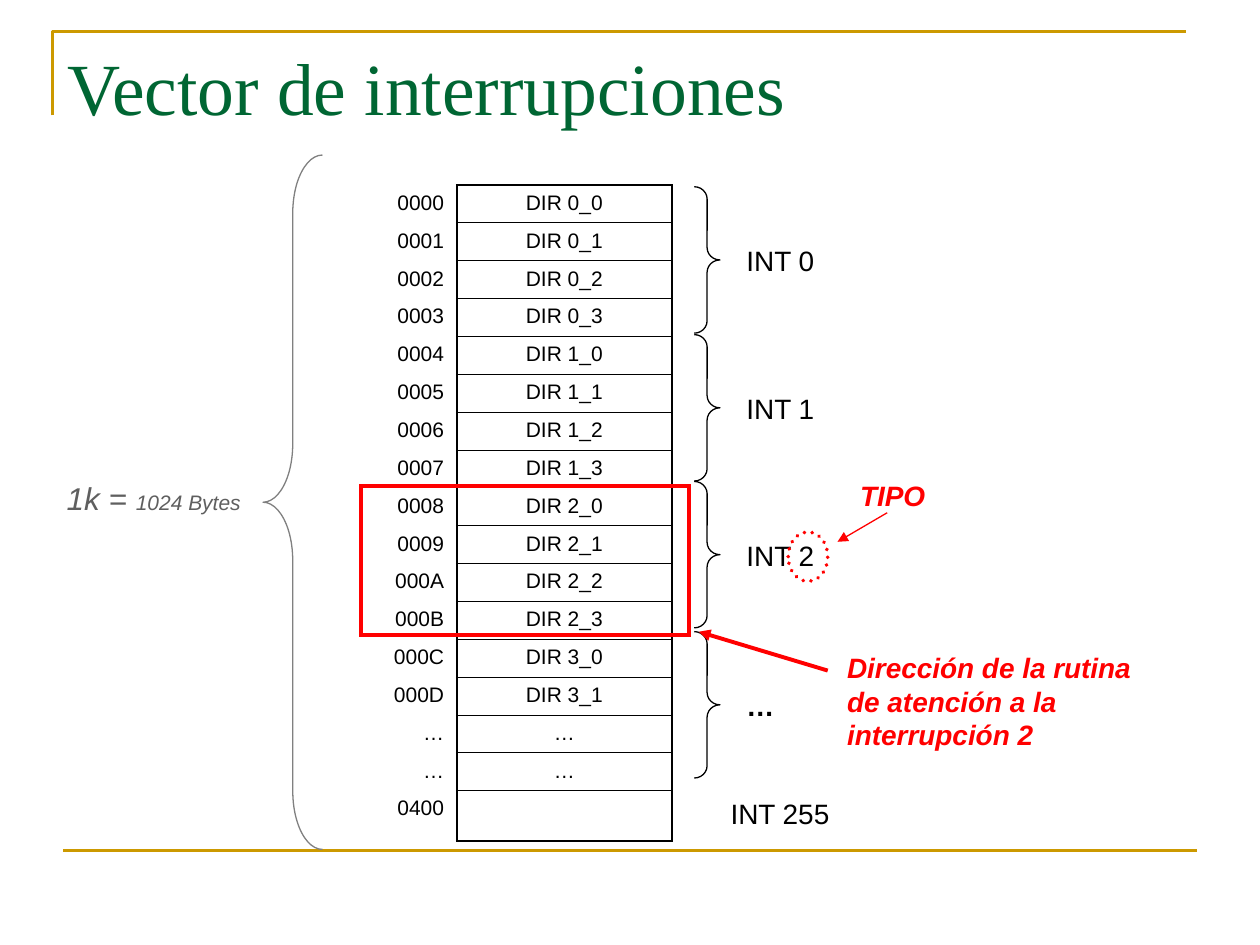
from dataclasses import dataclass

from lxml import etree
from pptx import Presentation
from pptx import util as u
from pptx.dml import color
from pptx.enum import dml, shapes, text
from pptx.oxml import ns

Pt = u.Pt
PLAIN = "{2D5ABB26-0587-4C30-8999-92F81FD0307C}"  # table style without grid


@dataclass(frozen=True)
class Theme:
    sans: str = "Arial"
    serif: str = "Times New Roman"
    ink: str = "000000"
    green: str = "006633"
    gold: str = "CC9900"
    red: str = "FF0000"
    gray: str = "808080"
    dim: str = "5F5F5F"
    head: float = 42
    big: float = 18
    body: float = 16
    small: float = 12
    hair: float = 0.45
    thin: float = 0.75
    edge: float = 1.08
    rule: float = 1.5
    bold: float = 2.25


T = Theme()


def rgb(code):
    return color.RGBColor.from_string(code)


def write(frame, words, font=T.sans, size=T.body, ink=T.ink, bold=False,
          slant=False, align=None, before=None):
    """Append a run to the last paragraph of a text frame."""
    para = frame.paragraphs[-1]
    if align is not None:
        para.alignment = align
    if before is not None:
        para.space_before = Pt(before)
    run = para.add_run()
    run.text = words
    run.font.name, run.font.size = font, Pt(size)
    run.font.bold, run.font.italic = bold, slant
    run.font.color.rgb = rgb(ink)


def label(slide, box, words, wrap=False, grow=True, mid=False, **form):
    frame = slide.shapes.add_textbox(*map(Pt, box)).text_frame
    frame.word_wrap = wrap
    if grow:
        frame.auto_size = text.MSO_AUTO_SIZE.SHAPE_TO_FIT_TEXT
    if mid:
        frame.vertical_anchor = text.MSO_ANCHOR.MIDDLE
    write(frame, words, **form)
    return frame


def stroke(item, ink, width):
    item.line.color.rgb = rgb(ink)
    item.line.width = Pt(width)


def shape(slide, kind, box, ink, width):
    """Add an unfilled outline shape."""
    item = slide.shapes.add_shape(kind, *map(Pt, box))
    item.shadow.inherit = False
    item.fill.background()
    stroke(item, ink, width)
    return item


def brace(slide, kind, box, ink, bend):
    item = shape(slide, kind, box, ink, T.thin)
    item.adjustments[0] = bend


def line(slide, start, end, ink, width, arrow=False):
    """Draw a straight line; the arrowhead sits at its end."""
    item = slide.shapes.add_connector(
        shapes.MSO_CONNECTOR.STRAIGHT, *map(Pt, (*start, *end)))
    stroke(item, ink, width)
    if arrow:
        etree.SubElement(item.line._get_or_add_ln(), ns.qn("a:tailEnd"),
                         type="triangle")
    etree.SubElement(item._element.spPr, ns.qn("a:effectLst"))


def border(cell, **sides):
    """Set cell borders by side (L, R, T, B) to a width in points."""
    props = cell._tc.get_or_add_tcPr()
    drawn = [side for side in "LRTB" if side in sides]
    for spot, side in enumerate(drawn):
        ln = etree.Element(ns.qn(f"a:ln{side}"), w=str(Pt(sides[side])))
        fill = etree.SubElement(ln, ns.qn("a:solidFill"))
        etree.SubElement(fill, ns.qn("a:srgbClr"), val=T.ink)
        props.insert(spot, ln)


def corner(slide):
    """Draw the gold angle above the title."""
    path = slide.shapes.build_freeform(Pt(30), Pt(66), scale=1.0)
    path.add_line_segments([(Pt(30), Pt(18)), (Pt(678), Pt(18))], close=False)
    item = path.convert_to_shape()
    item.shadow.inherit = False
    item.fill.background()
    stroke(item, T.gold, T.rule)


def memory(slide):
    """Build the table of addresses and their contents."""
    rows = [(f"{n:04X}", f"DIR {n // 4}_{n % 4}") for n in range(14)]
    rows += [("…", "…")] * 2 + [("0400", "")]
    last = len(rows) - 1
    grid = slide.shapes.add_table(len(rows), 2, Pt(216), Pt(105.7),
                                  Pt(168), Pt(367.2)).table
    grid._tbl.tblPr.find(ns.qn("a:tableStyleId")).text = PLAIN
    grid.first_row = grid.horz_banding = False
    grid.columns[0].width, grid.columns[1].width = Pt(45), Pt(123)
    aligns = text.PP_ALIGN.RIGHT, text.PP_ALIGN.CENTER
    for r, row in enumerate(rows):
        grid.rows[r].height = Pt(21.63)
        for c, words in enumerate(row):
            cell = grid.cell(r, c)
            cell.fill.background()
            if words:
                write(cell.text_frame, words, size=T.small,
                      align=aligns[c], before=3)
        border(grid.cell(r, 0), R=T.edge)
        border(grid.cell(r, 1), L=T.edge, R=T.edge,
               T=T.hair if r else T.edge,
               B=T.edge if r == last else T.hair)


def groups(slide):
    """Bracket each four bytes with its interrupt number."""
    names = "INT 0", "INT 1", "INT 2", "…"
    tops = 106.7, 191.2, 275.1, 360.9
    for name, top in zip(names, tops):
        brace(slide, shapes.MSO_SHAPE.RIGHT_BRACE,
              (396.7, top, 14.7, 83.7), T.ink, 0.48)
        dots = name == "…"
        label(slide, (419.4, top + 29, 30.2 if dots else 53.5, 26.6),
              name, bold=dots)
    label(slide, (410.4, 451.4, 96.5, 26.6), "INT 255", wrap=True)


def notes(slide):
    """Add the red marks for interrupt 2."""
    ring = shape(slide, shapes.MSO_SHAPE.OVAL,
                 (450.4, 304, 22.6, 28.2), T.red, T.bold)
    ring.line.dash_style = dml.MSO_LINE.ROUND_DOT
    ring.line._get_or_add_ln().set("cap", "rnd")
    line(slide, (507, 293), (478.6, 309.6), T.red, T.thin, arrow=True)
    loud = dict(ink=T.red, bold=True, slant=True)
    label(slide, (484.4, 270, 51.4, 26.6), "TIPO", **loud)
    frame = shape(slide, shapes.MSO_SHAPE.RECTANGLE,
                  (206.4, 277.8, 187.4, 85.2), T.red, T.bold)
    etree.SubElement(frame.line._get_or_add_ln(), ns.qn("a:miter"),
                     lim="800000")
    line(slide, (473, 383.2), (399.3, 361), T.red, T.bold, arrow=True)
    label(slide, (477, 368.2, 194.4, 64.8),
          "Dirección de la rutina de atención a la interrupción 2",
          wrap=True, **loud)


def total(slide):
    """Bracket the whole table with its size."""
    brace(slide, shapes.MSO_SHAPE.LEFT_BRACE,
          (150.3, 88.6, 34, 396.8), T.gray, 0.98)
    soft = dict(ink=T.dim, slant=True)
    frame = label(slide, (31, 270, 113.8, 28.8), "1k = ", size=T.big, **soft)
    write(frame, "1024 Bytes", size=T.small, **soft)


def main():
    deck = Presentation()
    deck.slide_width, deck.slide_height = Pt(720), Pt(540)
    slide = deck.slides.add_slide(deck.slide_layouts[6])
    corner(slide)
    line(slide, (36, 486), (684, 486), T.gold, T.rule)
    label(slide, (31.3, 18.6, 648, 61.2), "Vector de interrupciones",
          wrap=True, grow=False, mid=True,
          font=T.serif, size=T.head, ink=T.green)
    memory(slide)
    groups(slide)
    notes(slide)
    total(slide)
    deck.save("out.pptx")


if __name__ == "__main__":
    main()
